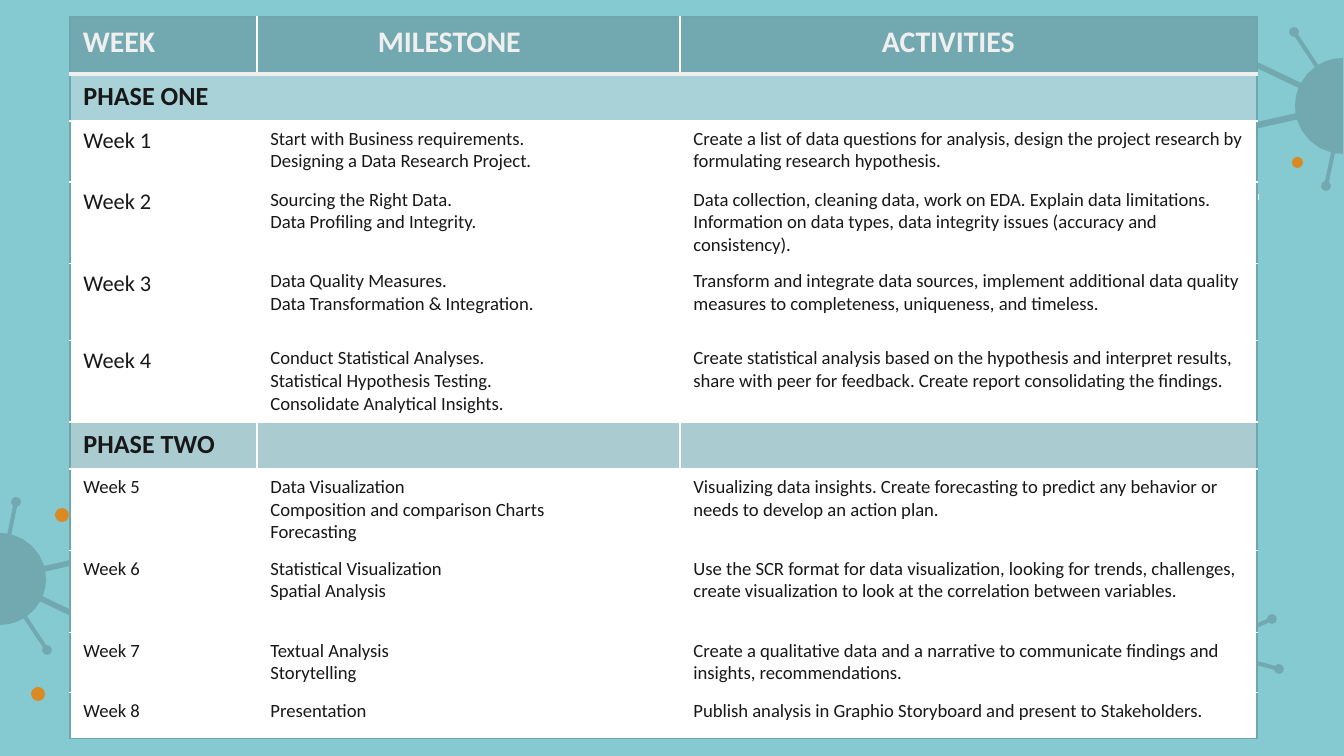
import math

from lxml import etree
from pptx import Presentation
from pptx.dml.color import RGBColor
from pptx.enum.shapes import MSO_SHAPE
from pptx.oxml.ns import qn
from pptx.util import Pt

ELLIPSE = MSO_SHAPE.OVAL
CROSS = MSO_SHAPE.CROSS

PX = 914400 / 134.4
FONT = "Calibri"
SKY = RGBColor(0x85, 0xC9, 0xD1)
TEAL = RGBColor(0x72, 0xA9, 0xB0)
GRID = RGBColor(0x6E, 0xA6, 0xAE)
PHASE_ONE = RGBColor(0xA8, 0xD2, 0xD8)
PHASE_TWO = RGBColor(0xAA, 0xCB, 0xD0)
ORANGE = RGBColor(0xD9, 0x8A, 0x23)
WHITE = RGBColor(0xFF, 0xFF, 0xFF)
PALE = RGBColor(0xEF, 0xEF, 0xEF)
INK = RGBColor(0x18, 0x18, 0x18)

COLUMN_WIDTHS = [187, 423, 577]
ROW_HEIGHTS = [57, 47, 61, 81, 77, 82, 47, 81, 82, 60, 46]
HEADINGS = [("WEEK", 13), ("MILESTONE", 121), ("ACTIVITIES", 202)]
PHASES = [
    ("PHASE ONE", PHASE_ONE, 12, [
        ("Week 1", "Start with Business requirements.\nDesigning a Data Research Project.",
         "Create a list of data questions for analysis, design the project research by "
         "formulating research hypothesis."),
        ("Week 2", "Sourcing the Right Data.\nData Profiling and Integrity.",
         "Data collection, cleaning data, work on EDA. Explain data limitations. "
         "Information on data types, data integrity issues (accuracy and consistency)."),
        ("Week 3", "Data Quality Measures.\nData Transformation & Integration.",
         "Transform and integrate data sources, implement additional data quality "
         "measures to completeness, uniqueness, and timeless."),
        ("Week 4", "Conduct Statistical Analyses.\nStatistical Hypothesis Testing.\n"
         "Consolidate Analytical Insights.",
         "Create statistical analysis based on the hypothesis and interpret results, "
         "share with peer for feedback. Create report consolidating the findings."),
    ]),
    ("PHASE TWO", PHASE_TWO, 10, [
        ("Week 5", "Data Visualization\nComposition and comparison Charts\nForecasting",
         "Visualizing data insights. Create forecasting to predict any behavior or "
         "needs to develop an action plan."),
        ("Week 6", "Statistical Visualization\nSpatial Analysis",
         "Use the SCR format for data visualization, looking for trends, challenges, "
         "create visualization to look at the correlation between variables."),
        ("Week 7", "Textual Analysis\nStorytelling",
         "Create a qualitative data and a narrative to communicate findings and "
         "insights, recommendations."),
        ("Week 8", "Presentation",
         "Publish analysis in Graphio Storyboard and present to Stakeholders."),
    ]),
]


def px(length):
    return round(length * PX)


def paint(shape, color):
    shape.shadow.inherit = False
    shape.fill.solid()
    shape.fill.fore_color.rgb = color
    shape.line.fill.background()


def add_ornament(slide, kind, left, top, size, color):
    ornament = slide.shapes.add_shape(kind, px(left), px(top), px(size), px(size))
    paint(ornament, color)
    return ornament


def arc(x, y, radius, start, end, step):
    steps = max(1, math.ceil((end - start) / step))
    angles = [math.radians(start + (end - start) * i / steps) for i in range(steps + 1)]
    return [(x + radius * math.cos(a), y + radius * math.sin(a)) for a in angles]


def add_virus(slide, x, y, radius, start, end, knobs):
    outline = []
    reached = start
    for knob_x, knob_y, knob_radius in knobs:
        angle = math.degrees(math.atan2(knob_y - y, knob_x - x))
        angle = (angle - start) % 360 + start
        half_stem = knob_radius * 0.4
        base = math.degrees(math.asin(half_stem / radius))
        neck = math.degrees(math.asin(half_stem / knob_radius))
        outline += arc(x, y, radius, reached, angle - base, 15)
        outline += arc(knob_x, knob_y, knob_radius, angle + 180 + neck, angle + 540 - neck, 45)
        reached = angle + base
    outline += arc(x, y, radius, reached, end, 15)
    points = [(px(a), px(b)) for a, b in outline]
    builder = slide.shapes.build_freeform(*points[0])
    builder.add_line_segments(points[1:], close=True)
    paint(builder.convert_to_shape(), TEAL)


def write(frame, text, size, color=INK, bold=False):
    for number, line in enumerate(text.split("\n")):
        paragraph = frame.paragraphs[0] if number == 0 else frame.add_paragraph()
        if not line:
            paragraph._p.get_or_add_endParaRPr().set("sz", str(size * 100))
            continue
        run = paragraph.add_run()
        run.text = line
        run.font.name = FONT
        run.font.size = Pt(size)
        run.font.bold = bold
        run.font.color.rgb = color


def set_borders(cell, sides, **special):
    properties = cell._tc.get_or_add_tcPr()
    for position, side in enumerate(sides):
        color, width = special.get(side, (GRID, 0.75))
        line = etree.Element(qn(f"a:ln{side}"), w=str(Pt(width)))
        fill = etree.SubElement(line, qn("a:solidFill"))
        etree.SubElement(fill, qn("a:srgbClr"), val=str(color))
        properties.insert(position, line)


def fill_cell(table, row, column, text, size, background, color=INK, bold=False, **borders):
    cell = table.cell(row, column)
    cell.fill.solid()
    cell.fill.fore_color.rgb = background
    sides = ("L" if column == 0 else "") + "R" + ("T" if row == 0 else "") + "B"
    set_borders(cell, sides, **borders)
    write(cell.text_frame, text, size, color, bold)


def add_schedule(slide):
    table = slide.shapes.add_table(
        len(ROW_HEIGHTS), len(COLUMN_WIDTHS), px(70), px(17),
        px(sum(COLUMN_WIDTHS)), px(sum(ROW_HEIGHTS))).table
    table.first_row = False
    table.horz_banding = False
    for column, width in zip(table.columns, COLUMN_WIDTHS):
        column.width = px(width)
    for row, height in zip(table.rows, ROW_HEIGHTS):
        row.height = px(height)

    for column, (heading, indent) in enumerate(HEADINGS):
        table.cell(0, column).margin_left = px(indent)
        fill_cell(table, 0, column, heading, 16, TEAL, PALE, True, B=(PALE, 2))

    row = 1
    for phase, background, week_size, weeks in PHASES:
        for column, text in enumerate((phase, "", "")):
            fill_cell(table, row, column, text, 14, background, bold=True)
        for row, texts in enumerate(weeks, row + 1):
            for column, (text, size) in enumerate(zip(texts, (week_size, 10, 10))):
                fill_cell(table, row, column, text, size, WHITE)
        row += 1
    table.cell(1, 0).merge(table.cell(1, 2))


def main():
    deck = Presentation()
    deck.slide_width, deck.slide_height = px(1344), px(756)
    slide = deck.slides.add_slide(deck.slide_layouts[6])
    slide.background.fill.solid()
    slide.background.fill.fore_color.rgb = SKY

    add_virus(slide, 1204, 649, 33, -100, 260, [(1272, 619, 5), (1279, 669, 5)])
    add_virus(slide, 1343, 106, 48, 90, 270, [
        (1326, 186, 5), (1236, 130, 8), (1240, 57, 7), (1294, 32, 5)])
    add_virus(slide, 0, 579, 46, -90, 90, [
        (16, 502, 5), (101, 556, 7), (98, 626, 7), (47, 650, 5)])
    for left, top, size in [(31, 687, 14), (55, 508, 14), (1292, 157, 11)]:
        add_ornament(slide, ELLIPSE, left, top, size, ORANGE)
    add_ornament(slide, CROSS, 1239, 187, 20, WHITE).adjustments[0] = 0.36
    add_schedule(slide)
    deck.save("out.pptx")


if __name__ == "__main__":
    main()
